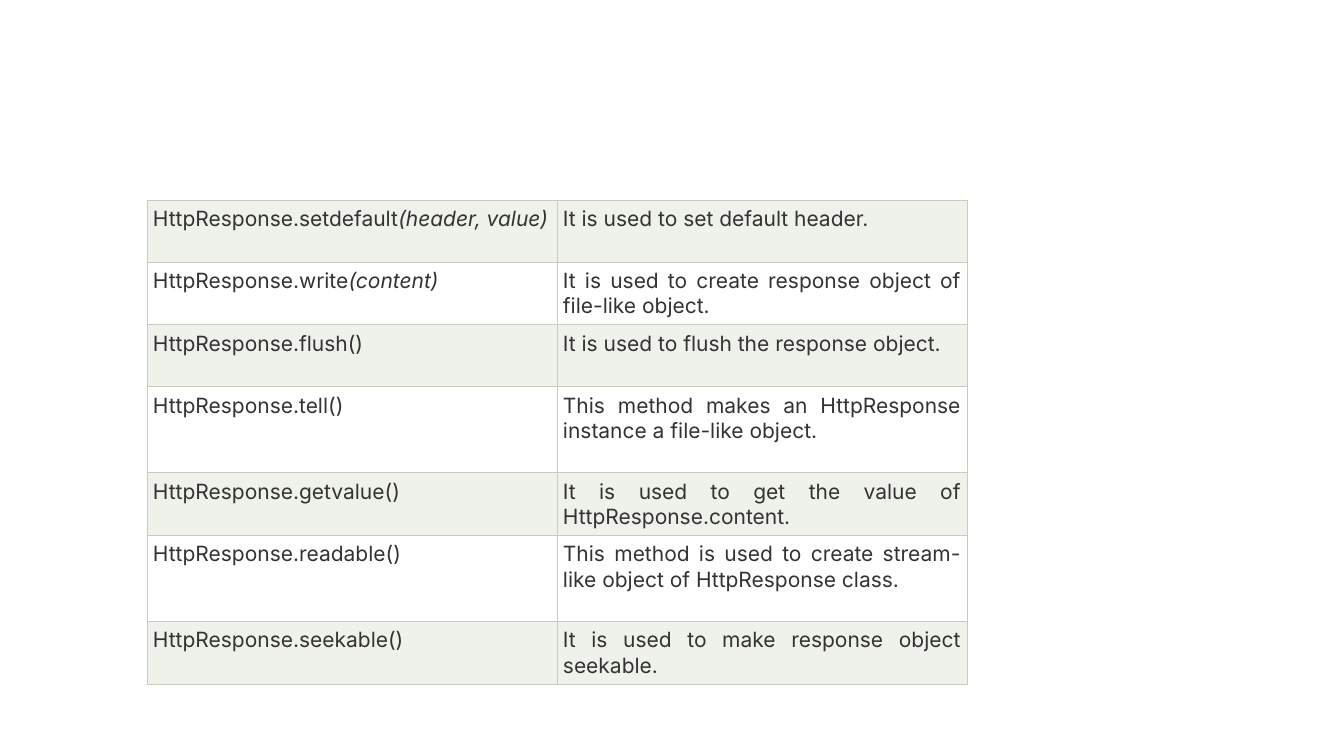
"""Build a slide with a table of HttpResponse methods."""
import lxml.etree
import pptx
import pptx.dml.color
import pptx.enum.text
import pptx.oxml.ns
import pptx.util

SHORT, TALL = 62, 86
ROWS = [
    ("setdefault", "(header, value)", "It is used to set default header.", SHORT),
    ("write", "(content)", "It is used to create response object of file-like object.", SHORT),
    ("flush()", "", "It is used to flush the response object.", SHORT),
    ("tell()", "", "This method makes an HttpResponse instance a file-like object.", TALL),
    ("getvalue()", "", "It is used to get the value of HttpResponse.content.", SHORT),
    ("readable()", "", "This method is used to create stream-like object of HttpResponse class.", TALL),
    ("seekable()", "", "It is used to make response object seekable.", SHORT),
]
SIZE = (1344, 756)
LEFT, TOP, WIDE, INSET = 147, 200, 410, 6
BANDS = ("EFF1EB", "FFFFFF")
INK, EDGE = "333333", "C7CCBE"
FONT = {"name": "Inter", "size": pptx.util.Pt(15)}
SIDES = ("lnL", "lnR", "lnT", "lnB")


def px(num):
    return pptx.util.Emu(round(num * 914400 / 100.8))


def tint(code):
    return pptx.dml.color.RGBColor.from_string(code)


def style(item, values):
    for name, value in values.items():
        setattr(item, name, value)


def border(cell):
    props = cell._tc.get_or_add_tcPr()
    qn = pptx.oxml.ns.qn
    for spot, side in enumerate(SIDES):
        line = lxml.etree.Element(qn("a:" + side), w=str(pptx.util.Pt(0.6)))
        fill = lxml.etree.SubElement(line, qn("a:solidFill"))
        lxml.etree.SubElement(fill, qn("a:srgbClr"), val=EDGE)
        props.insert(spot, line)


def write(cell, parts, band):
    style(cell, {"margin_" + side: px(INSET) for side in ("left", "right", "top", "bottom")})
    cell.fill.solid()
    cell.fill.fore_color.rgb = tint(band)
    border(cell)
    para = cell.text_frame.paragraphs[0]
    para.alignment = pptx.enum.text.PP_ALIGN.JUSTIFY
    for text, slant in parts:
        if text:
            run = para.add_run()
            run.text = text
            style(run.font, {**FONT, "italic": slant})
            run.font.color.rgb = tint(INK)


def main():
    deck = pptx.Presentation()
    style(deck, {"slide_width": px(SIZE[0]), "slide_height": px(SIZE[1])})
    slide = deck.slides.add_slide(deck.slide_layouts[6])
    high = sum(row[-1] for row in ROWS)
    frame = slide.shapes.add_table(len(ROWS), 2, px(LEFT), px(TOP), px(2 * WIDE), px(high))
    table = frame.table
    style(table, {"first_row": False, "horz_banding": False})
    for col in table.columns:
        col.width = px(WIDE)
    for num, (name, args, note, tall) in enumerate(ROWS):
        table.rows[num].height = px(tall)
        band = BANDS[num % 2]
        write(table.cell(num, 0), [("HttpResponse." + name, False), (args, True)], band)
        write(table.cell(num, 1), [(note, False)], band)
    deck.save("out.pptx")


if __name__ == "__main__":
    main()
